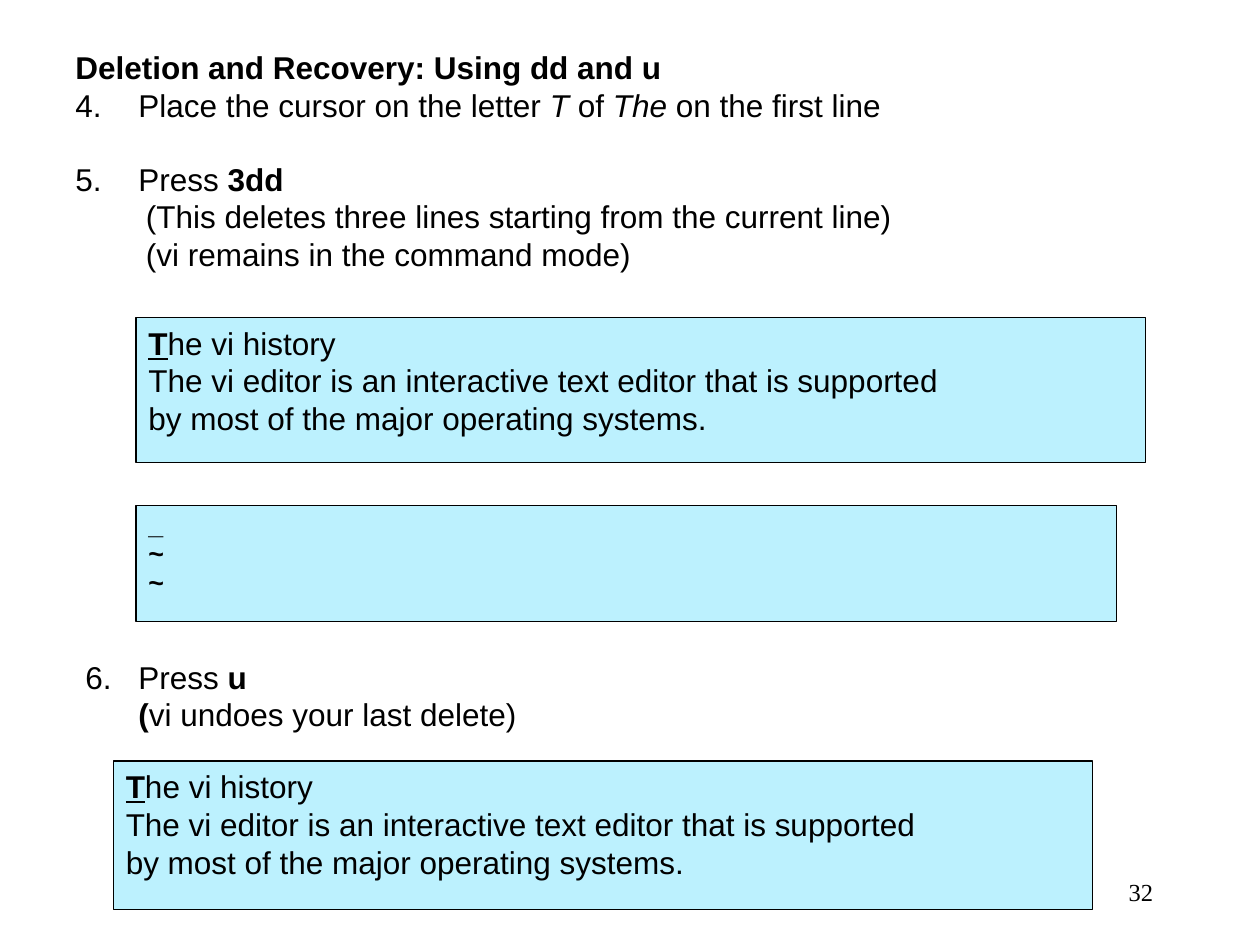
from lxml.etree import SubElement
from pptx import Presentation
from pptx.dml.color import RGBColor as RGB
from pptx.enum.shapes import MSO_SHAPE as SHAPE
from pptx.enum.text import MSO_ANCHOR as ANCHOR, PP_ALIGN as ALIGN
from pptx.oxml.ns import qn
from pptx.util import Inches, Pt

COLORS = {"ink": "000000", "screen": "BCF1FE"}

deck = Presentation()
deck.slide_width, deck.slide_height = Inches(10), Inches(7.5)
COLUMN, ROW = deck.slide_width / 100, deck.slide_height / 100
slide = deck.slides.add_slide(deck.slide_layouts[6])


def place(left, top, width, height):
    """Turn columns and rows of the 100 by 100 grid into lengths."""
    return [int(n) for n in (left * COLUMN, top * ROW, width * COLUMN, height * ROW)]


def write(frame, lines, size=18, font="Arial", **line_format):
    """Fill frame with lines of (runs, indent, hanging, number, space before)."""
    frame.word_wrap = True
    for i, (runs, indent, hanging, number, gap) in enumerate(lines):
        paragraph = frame.paragraphs[0] if i == 0 else frame.add_paragraph()
        properties = paragraph._p.get_or_add_pPr()
        properties.set("marL", str(Inches(indent)))
        properties.set("indent", str(-Inches(hanging)))
        if number:
            SubElement(properties, qn("a:buFont"), typeface="+mj-lt")
            SubElement(properties, qn("a:buAutoNum"), type="arabicPeriod", startAt=str(number))
        paragraph.space_before = Pt(gap)
        for key, value in ({"alignment": ALIGN.LEFT} | line_format).items():
            setattr(paragraph, key, value)
        for text, style in runs:
            run = paragraph.add_run()
            run.text = text
            look = {"size": Pt(size), "name": font, "bold": "b" in style,
                    "italic": "i" in style, "underline": "u" in style}
            for key, value in look.items():
                setattr(run.font, key, value)
            run.font.color.rgb = RGB.from_string(COLORS["ink"])


# Instructions: (columns and rows, lines)
LINE_GAP = 20.7  # one skipped line of 18 point text
steps = [
    ((5, 4.4, 91.7, 25.33), [
        ([("Deletion and Recovery: Using dd and u", "b")], 0, 0, None, 0),
        ([("Place the cursor on the letter ", ""), ("T ", "i"), ("of ", ""),
          ("The ", "i"), ("on the first line", "")], 0.5, 0.5, 4, 0),
        ([("Press ", ""), ("3dd", "b")], 0.5, 0.5, 5, LINE_GAP),
        ([("(This deletes three lines starting from the current line)", "")], 0.56, 0, None, 0),
        ([("(vi remains in the command mode)", "")], 0.56, 0, None, 0),
    ]),
    ((5.8, 68.93, 80.8, 9.33), [
        ([("Press ", ""), ("u", "b")], 0.42, 0.42, 6, 0),
        ([("(", "b"), ("vi undoes your last delete)", "")], 0.42, 0, None, 0),
    ]),
]
for area, lines in steps:
    write(slide.shapes.add_textbox(*place(*area)).text_frame, lines)

# Editor screens before the deletion, after it and after the undo
history = [
    [("T", "bu"), ("he vi history", "")],
    [("The vi editor is an interactive text editor that is supported", "")],
    [("by most of the major operating systems.", "")],
]
emptied = [[(mark, "b")] for mark in "_~~"]
screens = [
    ((10.8, 33.6, 80.1, 15.33), history, {}),
    ((10.8, 53.47, 77.8, 12.27), emptied, {"size": 15.3, "line_spacing": 0.9}),
    ((9, 80.53, 77.7, 15.73), history, {}),
]
for area, rows, text_format in screens:
    screen = slide.shapes.add_shape(SHAPE.RECTANGLE, *place(*area))
    screen.shadow.inherit = False
    screen.fill.solid()
    screen.fill.fore_color.rgb = RGB.from_string(COLORS["screen"])
    screen.line.color.rgb = RGB.from_string(COLORS["ink"])
    screen.line.width = Pt(0.75)
    screen.text_frame.vertical_anchor = ANCHOR.TOP
    write(screen.text_frame, [(runs, 0, 0, None, 0) for runs in rows], **text_format)

page_number = slide.shapes.add_textbox(*place(71.7, 91.07, 20.8, 6.67)).text_frame
page_number.vertical_anchor = ANCHOR.MIDDLE
write(page_number, [([("32", "")], 0, 0, None, 0)], 14, "Times New Roman",
      alignment=ALIGN.RIGHT)

deck.save("out.pptx")
